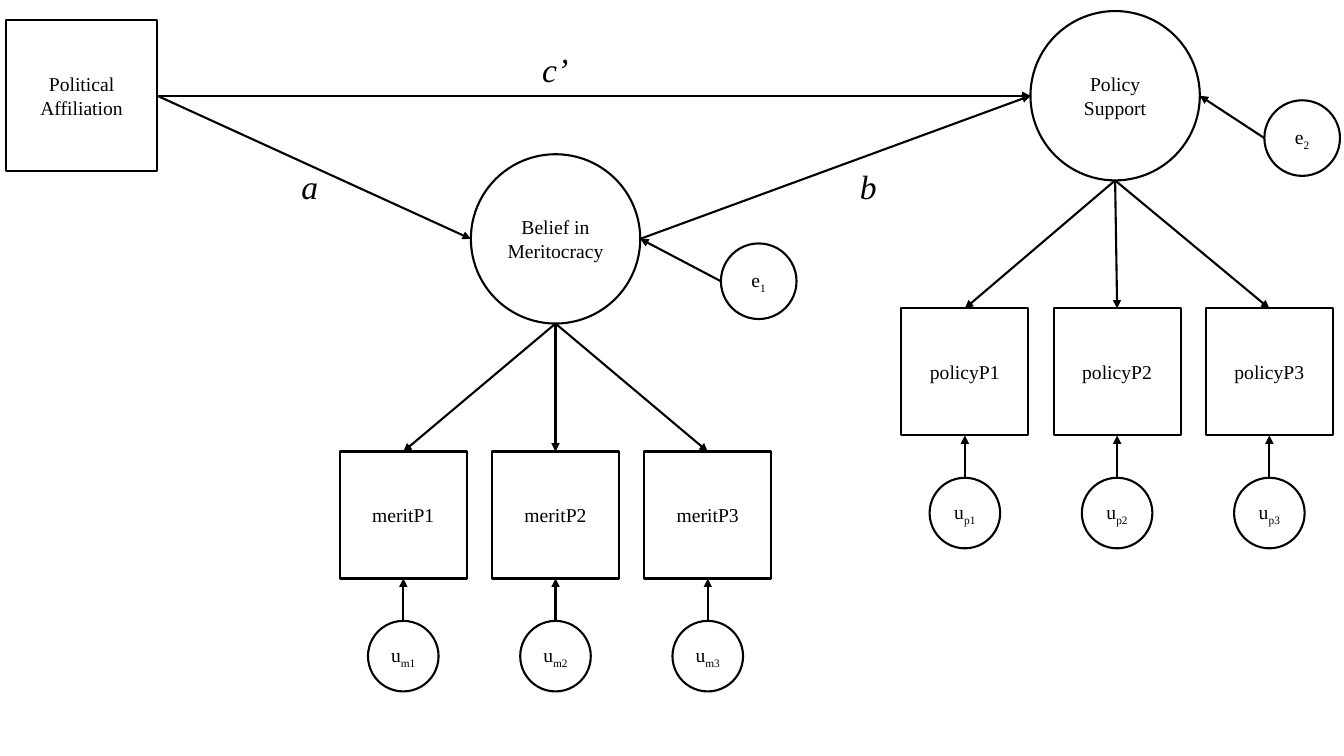
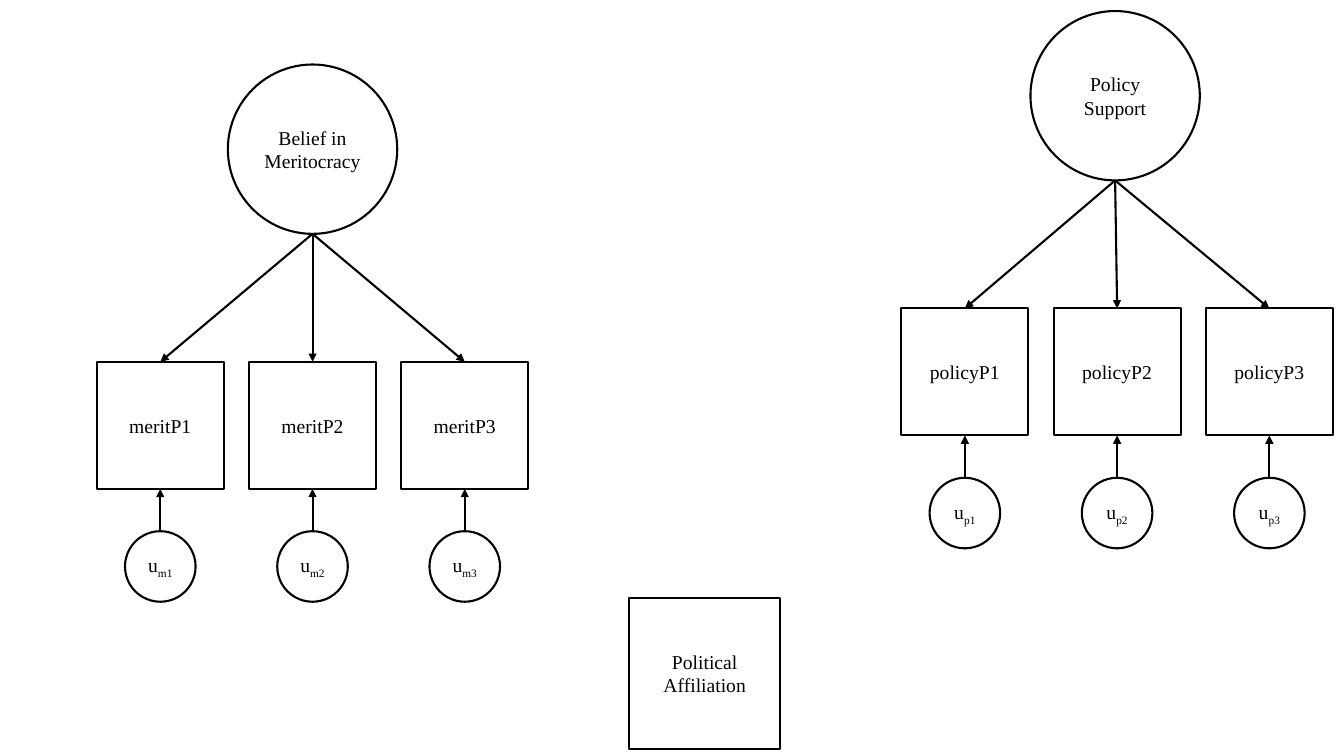
from collections import namedtuple

from lxml import etree
from pptx import Presentation
from pptx.dml.color import RGBColor
from pptx.enum.shapes import MSO_CONNECTOR, MSO_SHAPE
from pptx.enum.text import MSO_ANCHOR, PP_ALIGN
from pptx.oxml.ns import qn
from pptx.util import Inches, Pt

BLACK = RGBColor(0x00, 0x00, 0x00)
WHITE = RGBColor(0xFF, 0xFF, 0xFF)
FONT = "Times New Roman"
SQUARE, CIRCLE = MSO_SHAPE.RECTANGLE, MSO_SHAPE.OVAL
STRAIGHT = MSO_CONNECTOR.STRAIGHT
MIDDLE, CENTER = MSO_ANCHOR.MIDDLE, PP_ALIGN.CENTER

Factor = namedtuple("Factor", "name indicator residual shift")
MERIT = Factor("Belief in Meritocracy", "meritP", "m", 0)
POLICY = Factor("Policy Support", "policyP", "p", 0.02)
PREDICTOR = "Political Affiliation"

POLICY_AT = (11.06, 0.95)
MODELS = [
    {
        "predictor": (0.81, 0.95),
        "factors": [(MERIT, (5.51, 2.37)), (POLICY, POLICY_AT)],
        "disturbances": [("1", 0.8), ("2", 0.64)],
        "paths": [("a", 2.89, 1.6), ("c’", 5.28, 0.44), ("b", 8.43, 1.6)],
    },
    {
        "predictor": (6.99, 6.68),
        "factors": [(MERIT, (3.1, 1.48)), (POLICY, POLICY_AT)],
    },
]

PREDICTOR_SIZE = 1.5
FACTOR_SIZE = 1.68
INDICATOR_SIZE = 1.26
RESIDUAL_SIZE = 0.7
DISTURBANCE_SIZE = 0.75
COLUMN_STEP = 1.51
FACTOR_GAP = 1.27
RESIDUAL_GAP = 0.42
DISTURBANCE_DROP = 0.42
INDICATOR_DROP = FACTOR_SIZE / 2 + FACTOR_GAP + INDICATOR_SIZE / 2
RESIDUAL_DROP = INDICATOR_SIZE / 2 + RESIDUAL_GAP + RESIDUAL_SIZE / 2


class Node:
    def __init__(self, x, y, size):
        half = size / 2
        self.left, self.right = (x - half, y), (x + half, y)
        self.top, self.bottom = (x, y - half), (x, y + half)


def style_run(run, size, italic=False):
    run.font.name = FONT
    run.font.size = Pt(size)
    run.font.italic = italic
    run.font.color.rgb = BLACK


def add_node(shapes, kind, center, size, label, subscript=""):
    x, y = center
    box = shapes.add_shape(kind, Inches(x - size / 2), Inches(y - size / 2),
                           Inches(size), Inches(size))
    box.shadow.inherit = False
    box.fill.solid()
    box.fill.fore_color.rgb = WHITE
    box.line.color.rgb = BLACK
    box.line.width = Pt(1.5)
    frame = box.text_frame
    frame.word_wrap = True
    frame.vertical_anchor = MIDDLE
    frame.text = label
    paragraph = frame.paragraphs[0]
    paragraph.alignment = CENTER
    if subscript:
        lowered = paragraph.add_run()
        lowered.text = subscript
        lowered.font._element.set("baseline", "-25000")
    for run in paragraph.runs:
        style_run(run, 14)
    return Node(x, y, size)


def add_arrow(shapes, start, end):
    arrow = shapes.add_connector(STRAIGHT, *(Inches(v) for v in (*start, *end)))
    arrow.line.color.rgb = BLACK
    arrow.line.width = Pt(1.5)
    properties = arrow._element.spPr
    outline = properties.find(qn("a:ln"))
    etree.SubElement(outline, qn("a:tailEnd"), type="triangle")
    etree.SubElement(properties, qn("a:effectLst"))


def add_factor(slide, factor, center):
    shapes = slide.shapes.add_group_shape().shapes
    x, y = center
    latent = add_node(shapes, CIRCLE, center, FACTOR_SIZE, factor.name)
    indicator_y = y + INDICATOR_DROP
    for number in (1, 2, 3):
        column = x + factor.shift + (number - 2) * COLUMN_STEP
        indicator = add_node(shapes, SQUARE, (column, indicator_y), INDICATOR_SIZE,
                             f"{factor.indicator}{number}")
        residual = add_node(shapes, CIRCLE, (column, indicator_y + RESIDUAL_DROP),
                            RESIDUAL_SIZE, "u", f"{factor.residual}{number}")
        add_arrow(shapes, latent.bottom, indicator.top)
        add_arrow(shapes, residual.top, indicator.bottom)
    return latent


def add_disturbance(slide, latent, number, gap):
    x, y = latent.right
    center = (x + gap + DISTURBANCE_SIZE / 2, y + DISTURBANCE_DROP)
    disturbance = add_node(slide.shapes, CIRCLE, center, DISTURBANCE_SIZE, "e", number)
    add_arrow(slide.shapes, disturbance.left, latent.right)


def add_path_label(slide, label, left, top):
    box = slide.shapes.add_textbox(Inches(left), Inches(top), Inches(0.46), Inches(0.5))
    box.text_frame.word_wrap = True
    box.text_frame.text = label
    style_run(box.text_frame.paragraphs[0].runs[0], 24, italic=True)


def add_model(slide, model):
    latents = [add_factor(slide, *placed) for placed in model["factors"]]
    predictor = add_node(slide.shapes, SQUARE, model["predictor"],
                         PREDICTOR_SIZE, PREDICTOR)
    if "paths" in model:
        merit, policy = latents
        for start, end in ((predictor, policy), (predictor, merit), (merit, policy)):
            add_arrow(slide.shapes, start.right, end.left)
        for latent, disturbance in zip(latents, model["disturbances"]):
            add_disturbance(slide, latent, *disturbance)
        for path_label in model["paths"]:
            add_path_label(slide, *path_label)


def main():
    deck = Presentation()
    deck.slide_width, deck.slide_height = Inches(13.33), Inches(7.5)
    blank = deck.slide_layouts[6]
    for model in MODELS:
        add_model(deck.slides.add_slide(blank), model)
    deck.save("out.pptx")


if __name__ == "__main__":
    main()
